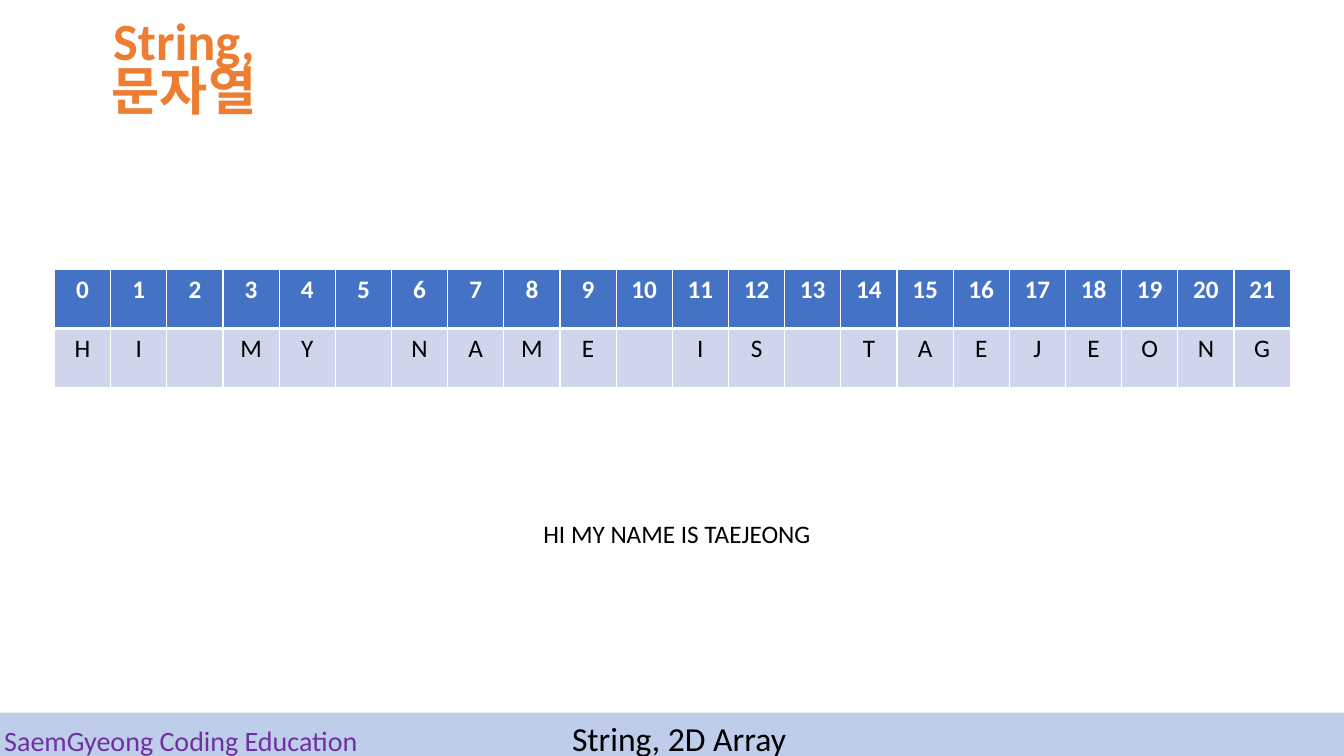
from lxml import etree
from pptx import Presentation
from pptx.dml.color import RGBColor
from pptx.enum.shapes import MSO_SHAPE
from pptx.enum.text import MSO_ANCHOR, MSO_AUTO_SIZE, PP_ALIGN
from pptx.oxml.ns import qn
from pptx.util import Inches, Pt

RECTANGLE = MSO_SHAPE.RECTANGLE
TOP, BOTTOM = MSO_ANCHOR.TOP, MSO_ANCHOR.BOTTOM
NO_AUTOFIT, GROW = MSO_AUTO_SIZE.NONE, MSO_AUTO_SIZE.SHAPE_TO_FIT_TEXT
LEFT, CENTER = PP_ALIGN.LEFT, PP_ALIGN.CENTER

COLORS = {
    "blue": "4472C4",
    "pale": "CFD5EA",
    "purple": "7030A0",
    "orange": "ED7D31",
    "black": "000000",
    "white": "FFFFFF",
}
FONT = "Calibri"
SENTENCE = "HI MY NAME IS TAEJEONG"


def color(name):
    return RGBColor.from_string(COLORS[name])


def write(frame, text, size=18, ink="black", bold=False, align=CENTER, line=None, before=None):
    paragraph = frame.paragraphs[0]
    paragraph.alignment = align
    if line:
        paragraph.line_spacing = line
    if before is not None:
        paragraph.space_before = Pt(before)
    run = paragraph.add_run()
    run.text = text
    run.font.name = FONT
    run.font.size = Pt(size)
    run.font.bold = bold
    run.font.color.rgb = color(ink)


class StringSlide:
    """Draws the elements of one slide in a shared style."""

    def __init__(self, presentation):
        self.slide = presentation.slides.add_slide(presentation.slide_layouts[0])
        self.shapes = self.slide.shapes

    def band(self, box, fill, opacity):
        shape = self.shapes.add_shape(RECTANGLE, *map(Inches, box))
        shape.shadow.inherit = False
        shape.fill.solid()
        shape.fill.fore_color.rgb = color(fill)
        shape.line.fill.background()
        solid = shape.fill._xPr.find(qn("a:solidFill"))
        etree.SubElement(solid[0], qn("a:alpha"), val=str(opacity * 1000))
        tree = shape._element.getparent()
        tree.remove(shape._element)
        tree.insert(2, shape._element)

    def placeholder(self, index, box, text, anchor, **style):
        shape = self.slide.placeholders[index]
        shape.left, shape.top, shape.width, shape.height = map(Inches, box)
        frame = shape.text_frame
        frame.auto_size = NO_AUTOFIT
        frame.vertical_anchor = anchor
        write(frame, text, line=0.9, **style)

    def text(self, box, text, wrap=True, inset=0.1, **style):
        frame = self.shapes.add_textbox(*map(Inches, box)).text_frame
        frame.word_wrap = wrap
        frame.auto_size = NO_AUTOFIT if wrap else GROW
        frame.margin_left = frame.margin_right = Inches(inset)
        write(frame, text, **style)

    def borders(self, cell, widths):
        properties = cell._tc.get_or_add_tcPr()
        for position, (side, width) in enumerate(zip("LRTB", widths)):
            line = etree.Element(qn(f"a:ln{side}"), w=str(Pt(width)))
            solid = etree.SubElement(line, qn("a:solidFill"))
            etree.SubElement(solid, qn("a:srgbClr"), val=COLORS["white"])
            properties.insert(position, line)

    def index_table(self, box, letters):
        table = self.shapes.add_table(2, len(letters), *map(Inches, box)).table
        for column in table.columns:
            column.width = Inches(box[2] / len(letters))
        rows = (
            (map(str, range(len(letters))), "blue", "white", True, (1, 1, 1, 3)),
            (letters, "pale", "black", False, (1, 1, 3, 1)),
        )
        for row, (values, fill, ink, bold, widths) in enumerate(rows):
            for column, value in enumerate(values):
                cell = table.cell(row, column)
                cell.fill.solid()
                cell.fill.fore_color.rgb = color(fill)
                self.borders(cell, widths)
                if value.strip():
                    write(cell.text_frame, value, ink=ink, bold=bold)


def main():
    presentation = Presentation()
    presentation.slide_width, presentation.slide_height = Inches(13.33), Inches(7.5)
    page = StringSlide(presentation)
    page.band((-0.03, 7.07, 13.39, 0.5), "blue", 35)
    page.placeholder(0, (-0.36, 7.43, 4.31, 0.14), "SaemGyeong Coding Education",
                     BOTTOM, size=20, ink="purple")
    page.placeholder(1, (5.19, 7.12, 3.09, 0.51), "String, 2D Array",
                     TOP, size=24, before=10)
    page.text((0.2, 0.15, 3.25, 0.85), "String, 문자열", inset=0.4,
              size=37.4, ink="orange", bold=True, line=0.8, before=10)
    page.index_table((0.54, 2.67, 12.26, 1.18), SENTENCE)
    page.text((5.29, 5.09, 2.88, 0.4), SENTENCE, wrap=False, align=LEFT)
    presentation.save("out.pptx")


if __name__ == "__main__":
    main()
